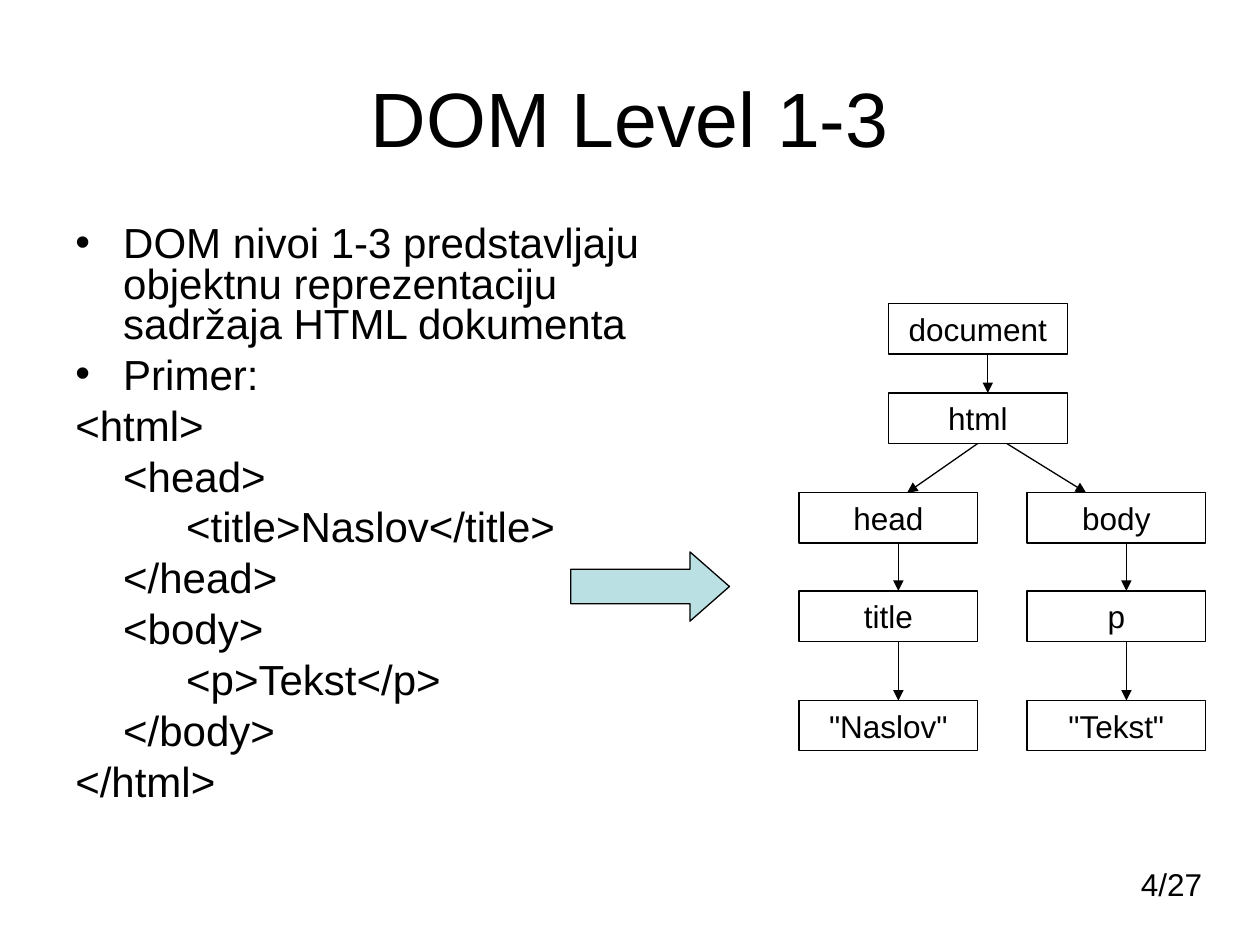
from lxml.etree import SubElement
from pptx import Presentation
from pptx.dml.color import RGBColor
from pptx.enum.shapes import MSO_CONNECTOR as Connector, MSO_SHAPE as Shape
from pptx.enum.text import MSO_ANCHOR as Anchor, PP_ALIGN as Align
from pptx.oxml.ns import qn
from pptx.util import Inches, Pt

BLACK = RGBColor(0x00, 0x00, 0x00)
PALE_TEAL = RGBColor(0xBB, 0xE0, 0xE3)

COLUMNS, ROWS = 100, 75
NODE_WIDTH, NODE_HEIGHT = 14.2, 4
HANGING = Inches(0.38)

BULLETS = [
    "DOM nivoi 1-3 predstavljaju objektnu reprezentaciju sadržaja HTML dokumenta",
    "Primer:",
]
CODE = [
    "<html>",
    "\t<head>",
    "\t\t<title>Naslov</title>",
    "\t</head>",
    "\t<body>",
    "\t\t<p>Tekst</p>",
    "\t</body>",
    "</html>",
]

ROOT_LEFT, HEAD_LEFT, BODY_LEFT = 70.5, 63.4, 81.5
DOCUMENT_TOP, HTML_TOP, BRANCH_TOP, CHILD_TOP, LEAF_TOP = 24.1, 31.2, 39.1, 46.9, 55.6
BRANCHES = [
    (HEAD_LEFT, ["head", "title", '"Naslov"']),
    (BODY_LEFT, ["body", "p", '"Tekst"']),
]
BRANCH_TOPS = [BRANCH_TOP, CHILD_TOP, LEAF_TOP]
ARROW_SHIFT = 7.9


class Page:
    font = "Arial"
    stroke = Pt(0.75)

    def __init__(self, deck):
        self.slide = deck.slides.add_slide(deck.slide_layouts[6])
        self.column = deck.slide_width / COLUMNS
        self.row = deck.slide_height / ROWS

    def place(self, left, top, width, height):
        return (round(left * self.column), round(top * self.row),
                round(width * self.column), round(height * self.row))

    def add_span(self, para, words, size):
        span = para.add_run()
        span.text = words
        span.font.name = self.font
        span.font.size = Pt(size)
        span.font.color.rgb = BLACK

    def text(self, area, words, size, align, anchor=Anchor.TOP):
        box = self.slide.shapes.add_textbox(*self.place(*area))
        box.text_frame.word_wrap = True
        box.text_frame.vertical_anchor = anchor
        para = box.text_frame.paragraphs[0]
        para.alignment = align
        self.add_span(para, words, size)

    def outline(self, area, bullets, code, size):
        box = self.slide.shapes.add_textbox(*self.place(*area))
        frame = box.text_frame
        frame.word_wrap = True
        for index, words in enumerate(bullets + code):
            para = frame.add_paragraph() if index else frame.paragraphs[0]
            para.line_spacing = 0.8
            para.space_before = Pt(6 if index else 0)
            settings = para._p.get_or_add_pPr()
            settings.set("marL", str(HANGING))
            settings.set("indent", str(-HANGING))
            if index < len(bullets):
                SubElement(settings, qn("a:buFont"), typeface=self.font)
                SubElement(settings, qn("a:buChar"), char="•")
            else:
                SubElement(settings, qn("a:buNone"))
                tabs = SubElement(settings, qn("a:tabLst"))
                for stop in range(8):
                    SubElement(tabs, qn("a:tab"), pos=str(Inches(stop)), algn="l")
            self.add_span(para, words, size)

    def shape(self, kind, area, fill=None):
        shape = self.slide.shapes.add_shape(kind, *self.place(*area))
        shape.shadow.inherit = False
        if fill is None:
            shape.fill.background()
        else:
            shape.fill.solid()
            shape.fill.fore_color.rgb = fill
        shape.line.color.rgb = BLACK
        shape.line.width = self.stroke
        return shape

    def node(self, left, top, words):
        node = self.shape(Shape.RECTANGLE, (left, top, NODE_WIDTH, NODE_HEIGHT))
        frame = node.text_frame
        frame.word_wrap = True
        frame.vertical_anchor = Anchor.TOP
        frame.paragraphs[0].alignment = Align.CENTER
        self.add_span(frame.paragraphs[0], words, 18)
        return node

    def arrow(self, start, end, source=None):
        points = self.place(*start, *end)
        line = self.slide.shapes.add_connector(Connector.STRAIGHT, *points)
        if source is not None:
            line.begin_connect(source, 2)
        line.line.color.rgb = BLACK
        line.line.width = self.stroke
        settings = line._element.spPr
        SubElement(settings.find(qn("a:ln")), qn("a:tailEnd"), type="triangle")
        SubElement(settings, qn("a:effectLst"))

    def block_arrow(self, area, fill, shaft, head):
        arrow = self.shape(Shape.RIGHT_ARROW, area, fill)
        arrow.adjustments[0] = shaft
        arrow.adjustments[1] = head


def main():
    deck = Presentation()
    deck.slide_width, deck.slide_height = Inches(10), Inches(7.5)
    page = Page(deck)

    page.text((74.4, 68.2, 22, 4), "4/27", 18, Align.RIGHT)
    page.text((5, 3, 90, 12.5), "DOM Level 1-3", 44, Align.CENTER, Anchor.MIDDLE)
    page.outline((5, 17.5, 53.7, 56.2), BULLETS, CODE, 24)

    page.node(ROOT_LEFT, DOCUMENT_TOP, "document")
    html = page.node(ROOT_LEFT, HTML_TOP, "html")
    root_x = ROOT_LEFT + ARROW_SHIFT
    page.arrow((root_x, DOCUMENT_TOP + NODE_HEIGHT), (root_x, HTML_TOP))
    html_bottom = HTML_TOP + NODE_HEIGHT
    page.arrow((77.6, html_bottom), (72, BRANCH_TOP), html)
    page.arrow((79.9, html_bottom), (86.2, BRANCH_TOP))

    for left, names in BRANCHES:
        for top, name in zip(BRANCH_TOPS, names):
            page.node(left, top, name)
        x = left + ARROW_SHIFT
        for upper, lower in zip(BRANCH_TOPS, BRANCH_TOPS[1:]):
            page.arrow((x, upper + NODE_HEIGHT), (x, lower))

    page.block_arrow((45.3, 43.8, 12.6, 5.5), PALE_TEAL, 0.5, 0.57)
    deck.save("out.pptx")


if __name__ == "__main__":
    main()
